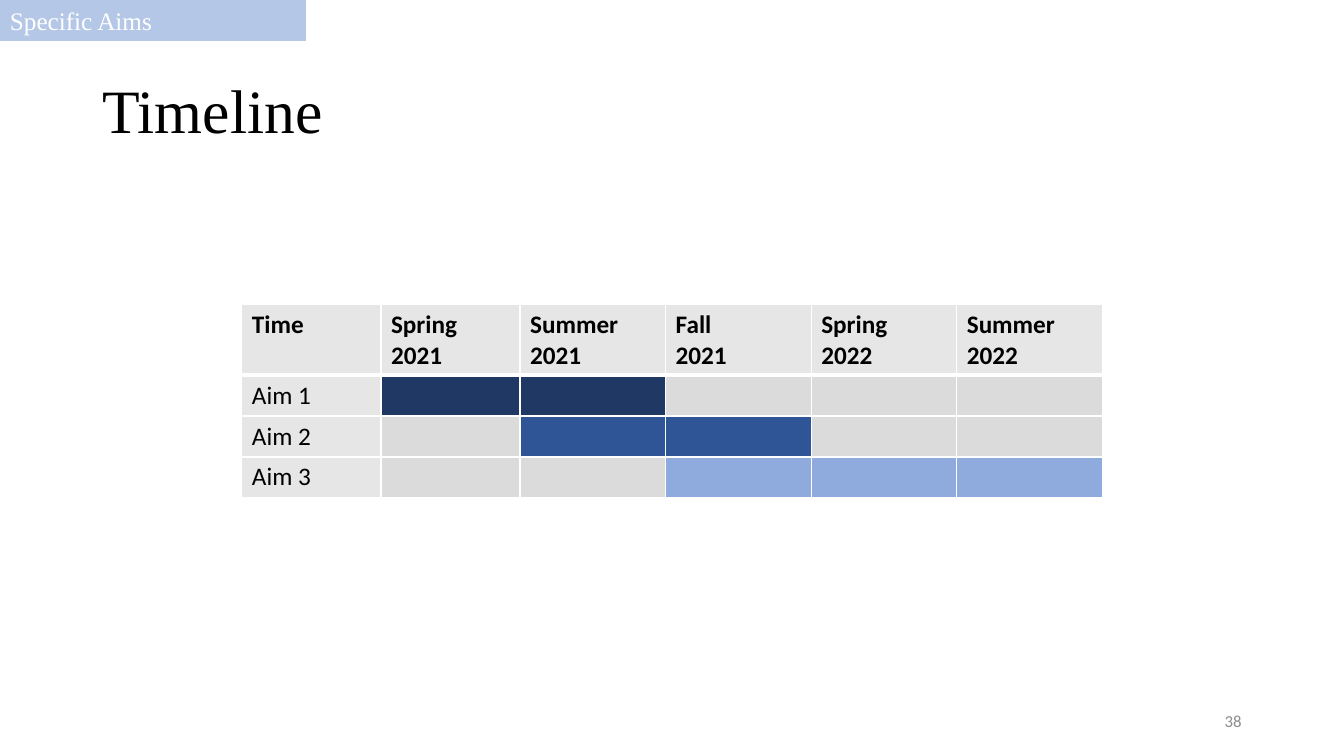
from lxml.etree import SubElement
from pptx import Presentation
from pptx.dml.color import RGBColor
from pptx.enum.shapes import MSO_SHAPE
from pptx.enum.text import MSO_ANCHOR, PP_ALIGN
from pptx.oxml.ns import qn
from pptx.util import Inches, Pt

COLORS = {
    "white": "FFFFFF", "black": "000000", "number": "8C8C8C", "tag": "B4C7E7",
    "header": "E7E6E6", "idle": "DBDBDB",
    "aim1": "203864", "aim2": "2F5597", "aim3": "8FAADC",
}
SERIF, SANS = "Times New Roman", "Calibri"
COLUMNS, ROWS = 160, 90
HEADINGS = ["Time", "Spring 2021", "Summer\n2021", "Fall\n2021", "Spring\n2022", "Summer\n2022"]
AIMS = [("Aim 1", "aim1", {1, 2}), ("Aim 2", "aim2", {2, 3}), ("Aim 3", "aim3", {3, 4, 5})]


class SlideBuilder:
    """Draws styled elements on a slide divided into 160 columns and 90 rows."""

    def __init__(self, prs):
        self.s = prs.slides.add_slide(prs.slide_layouts[6])
        self.col = prs.slide_width / COLUMNS
        self.row = prs.slide_height / ROWS

    def box(self, x, y, w, h):
        return int(x * self.col), int(y * self.row), int(w * self.col), int(h * self.row)

    def color(self, name):
        return RGBColor.from_string(COLORS[name])

    def fill(self, target, name):
        target.fill.solid()
        target.fill.fore_color.rgb = self.color(name)

    def set_text(self, tf, text, size, font, color, bold=False, align=PP_ALIGN.LEFT, spacing=1.0):
        tf.word_wrap = True
        tf.text = text
        for p in tf.paragraphs:
            p.alignment, p.line_spacing = align, spacing
            p.font.size, p.font.name, p.font.bold = Pt(size), font, bold
            p.font.color.rgb = self.color(color)

    def text(self, box, text, size, font, color, **style):
        tf = self.s.shapes.add_textbox(*self.box(*box)).text_frame
        tf.vertical_anchor = MSO_ANCHOR.MIDDLE
        self.set_text(tf, text, size, font, color, **style)

    def tag(self, box, text):
        sp = self.s.shapes.add_shape(MSO_SHAPE.RECTANGLE, *self.box(*box))
        sp.shadow.inherit = False
        self.fill(sp, "tag")
        sp.line.color.rgb = self.color("tag")
        sp.line.width = Pt(1)
        sp.text_frame.vertical_anchor = MSO_ANCHOR.MIDDLE
        self.set_text(sp.text_frame, text, 18, SERIF, "white")

    def borders(self, cell, top, bottom):
        tcPr = cell._tc.get_or_add_tcPr()
        for side, width in zip("LRTB", (1, 1, top, bottom)):
            ln = SubElement(tcPr, qn(f"a:ln{side}"), w=str(Pt(width)))
            SubElement(SubElement(ln, qn("a:solidFill")), qn("a:srgbClr"), val=COLORS["white"])

    def cell(self, cell, text, fill, bold=False, top=1, bottom=1):
        self.borders(cell, top, bottom)
        self.fill(cell, fill)
        self.set_text(cell.text_frame, text, 18, SANS, "black", bold=bold)

    def timeline(self, x, y, widths, heights):
        box = self.box(x, y, sum(widths), sum(heights))
        table = self.s.shapes.add_table(len(heights), len(widths), *box).table
        table.first_row = table.horz_banding = False
        for column, width in zip(table.columns, widths):
            column.width = int(width * self.col)
        for row, height in zip(table.rows, heights):
            row.height = int(height * self.row)
        for c, heading in enumerate(HEADINGS):
            self.cell(table.cell(0, c), heading, "header", bold=True, bottom=3)
        for r, (aim, color, active) in enumerate(AIMS, 1):
            top = 3 if r == 1 else 1
            self.cell(table.cell(r, 0), aim, "header", top=top)
            for c in range(1, len(widths)):
                self.cell(table.cell(r, c), "", color if c in active else "idle", top=top)


def main():
    prs = Presentation()
    prs.slide_width, prs.slide_height = Inches(13.33), Inches(7.5)
    slide = SlideBuilder(prs)
    slide.text((11, 4.8, 144.5, 17.4), "Timeline", 44, SERIF, "black", spacing=0.9)
    slide.timeline(28.8, 36.24, [16.56] * 2 + [17.33] * 4, [8.4] + [4.88] * 3)
    slide.tag((0, 0, 36.4, 4.8), "Specific Aims")
    slide.text((113, 83.4, 36, 4.8), "38", 12, SANS, "number", align=PP_ALIGN.RIGHT)
    prs.save("out.pptx")


if __name__ == "__main__":
    main()
